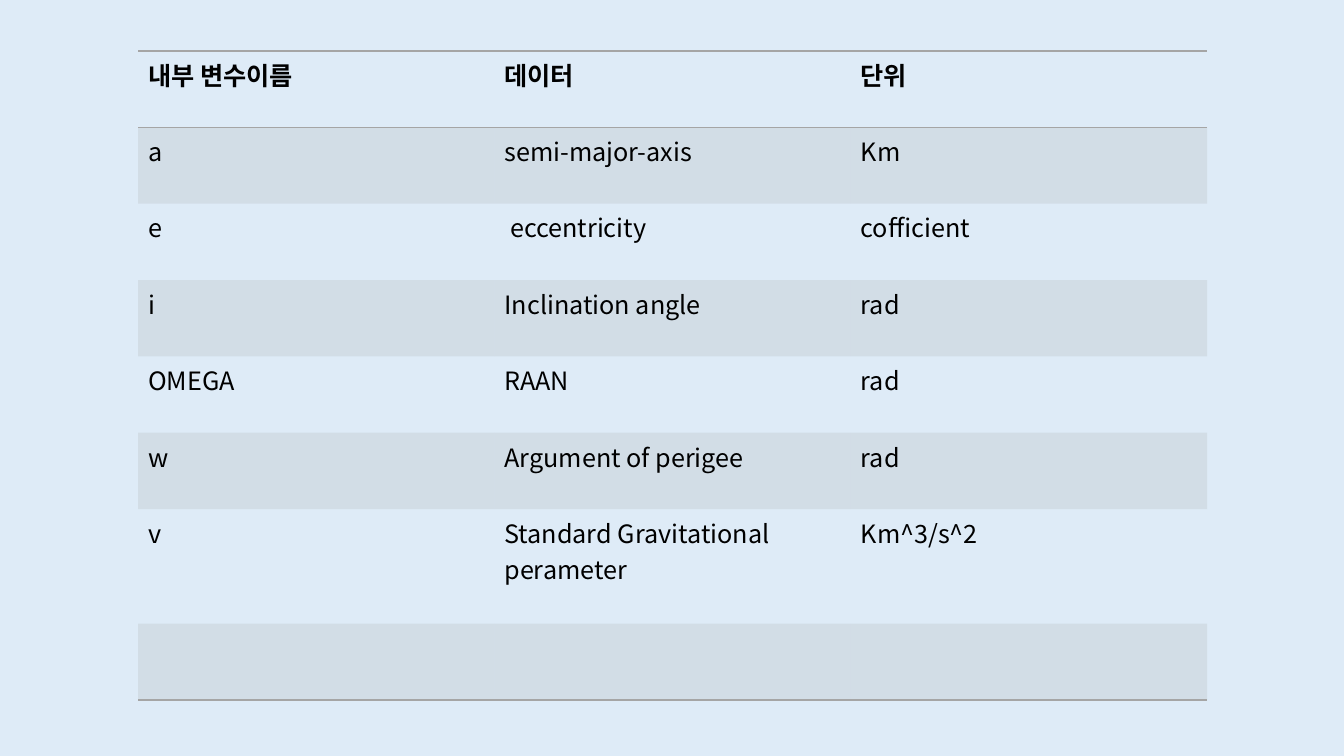
from lxml.etree import SubElement
from pptx import Presentation
from pptx.dml.color import RGBColor
from pptx.oxml import parse_xml
from pptx.oxml.ns import qn
from pptx.util import Pt

FONT = "Noto Sans CJK KR"
GRAY = "A5A5A5"
PLAIN = "{2D5ABB26-0587-4C30-8999-92F81FD0307C}"  # no style, no grid
NS = "http://schemas.openxmlformats.org/drawingml/2006/main"

ROWS = [
    ("내부 변수이름", "데이터", "단위"),
    ("a", "semi-major-axis", "Km"),
    ("e", " eccentricity", "cofficient"),
    ("i", "Inclination angle", "rad"),
    ("OMEGA", "RAAN", "rad"),
    ("w", "Argument of perigee", "rad"),
    ("v", "Standard Gravitational perameter", "Km^3/s^2"),
    ("", "", ""),
]
TALL = 6  # the row with two lines of text


def color(code):
    return RGBColor.from_string(code)


def paint(fill, code, alpha=100):
    fill.solid()
    fill.fore_color.rgb = color(code)
    return alpha


def write(cell, text, bold):
    run = cell.text_frame.paragraphs[0].add_run()
    run.text = text
    form = {"name": FONT, "size": Pt(18), "bold": bold}
    for key, value in form.items():
        setattr(run.font, key, value)
    run.font.color.rgb = color("000000")
    SubElement(run.font._element, qn("a:ea")).set("typeface", FONT)


def shade(cell, code, alpha):
    cell.fill.solid()
    cell.fill.fore_color.rgb = color(code)
    tone = cell._tc.tcPr.find(f".//{qn('a:srgbClr')}")
    SubElement(tone, qn("a:alpha")).set("val", str(alpha * 1000))


def rule(cell, sides):
    # Borders come before the fill, top before bottom
    props = cell._tc.get_or_add_tcPr()
    for spot, side in enumerate(sides):
        props.insert(spot, parse_xml(
            f'<a:ln{side} xmlns:a="{NS}" w="{Pt(1)}"><a:solidFill>'
            f'<a:srgbClr val="{GRAY}"/></a:solidFill></a:ln{side}>'))


def grid(slide, left, top, width, height):
    count, cols = len(ROWS), len(ROWS[0])
    frame = slide.shapes.add_table(
        count, cols, Pt(left), Pt(top), Pt(width), Pt(height))
    table = frame.table
    table.first_row = table.horz_banding = False
    table._tbl.tblPr.find(qn("a:tableStyleId")).text = PLAIN

    # Equal columns; the tall row is half as high again
    for col in table.columns:
        col.width = Pt(width / cols)
    unit = height / (count + 0.5)
    for r, row in enumerate(table.rows):
        row.height = Pt(unit * (1.5 if r == TALL else 1))

    # Text, bands and rules
    edges = {0: "TB", count - 1: "B"}
    for r, texts in enumerate(ROWS):
        for c, text in enumerate(texts):
            cell = table.cell(r, c)
            if text:
                write(cell, text, r == 0)
            if r % 2:
                shade(cell, GRAY, 20)
            else:
                cell.fill.background()
            rule(cell, edges.get(r, ""))


def main():
    deck = Presentation()
    deck.slide_width, deck.slide_height = Pt(960), Pt(540)
    slide = deck.slides.add_slide(deck.slide_layouts[6])
    paint(slide.background.fill, "DEEBF7")
    grid(slide, 98.6, 36.4, 763.6, 463.7)
    deck.save("out.pptx")


if __name__ == "__main__":
    main()
